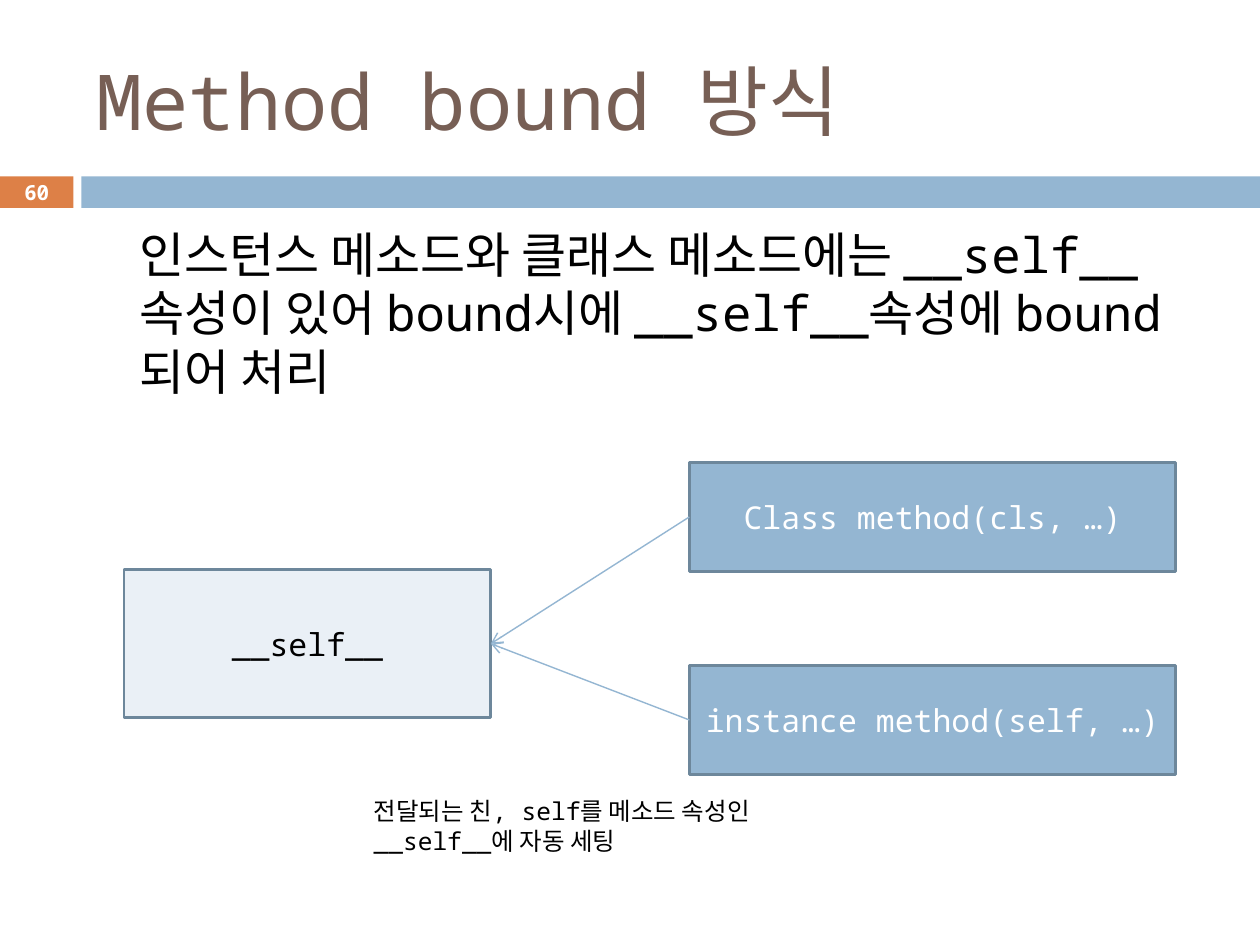
"""Build the slide on how methods are bound through __self__."""
import pptx
import pptx.util
import pptx.dml.color
import pptx.enum.shapes
import pptx.enum.text
import pptx.oxml.ns
from lxml import etree

Pt = pptx.util.Pt
RGBColor = pptx.dml.color.RGBColor
Align = pptx.enum.text.PP_ALIGN
Anchor = pptx.enum.text.MSO_ANCHOR
qn = pptx.oxml.ns.qn

BLACK = RGBColor(0x00, 0x00, 0x00)
WHITE = RGBColor(0xFF, 0xFF, 0xFF)
BROWN = RGBColor(0x77, 0x5F, 0x55)
ORANGE = RGBColor(0xDD, 0x80, 0x47)
BLUE = RGBColor(0x94, 0xB6, 0xD2)
PALE = RGBColor(0xEA, 0xF0, 0xF6)
EDGE = RGBColor(0x6D, 0x87, 0x9B)
FONT = "Noto Sans Mono"

TITLE = ("Method bound 방식", (48, 18, 642, 78))
BARS = [((0, 100.8, 42, 18), ORANGE), ((46.5, 100.8, 673.5, 18), BLUE)]
TEXTS = [
    ("인스턴스 메소드와 클래스 메소드에는 __self__속성이 있어 bound시에 __self__속성에 bound되어 처리",
     (72.5, 124.5, 612.5, 72), {"size": Pt(28)}),
    ("전달되는 친, self를 메소드 속성인 __self__에 자동 세팅",
     (206.5, 451.5, 238.5, 41), {"size": Pt(14)}),
]
PAGE_NUMBER = ("60", (0, 100, 42, 19.5))
TARGET = ("__self__", (70.8, 325.5, 209.7, 84.7), PALE, BLACK)
METHOD_LEFT, METHOD_TOP, METHOD_WIDTH, METHOD_HEIGHT = 393.9, 264.2, 278, 62.4
METHOD_STEP = 116
METHODS = ["Class method(cls, …)", "instance method(self, …)"]


def write(box, text, color, align=Align.LEFT, anchor=Anchor.TOP, **font):
    frame = box.text_frame
    settings = {"word_wrap": True, "vertical_anchor": anchor,
                "auto_size": pptx.enum.text.MSO_AUTO_SIZE.NONE}
    for name, value in settings.items():
        setattr(frame, name, value)
    para = frame.paragraphs[0]
    para.alignment = align
    span = para.add_run()
    span.text = text
    span.font.color.rgb = color
    for name, value in {"name": FONT, **font}.items():
        setattr(span.font, name, value)


def add_rectangle(page, place, fill, edge=None):
    box = page.shapes.add_shape(pptx.enum.shapes.MSO_SHAPE.RECTANGLE, *map(Pt, place))
    box.shadow.inherit = False
    box.fill.solid()
    box.fill.fore_color.rgb = fill
    if edge is None:
        box.line.fill.background()
    else:
        box.line.color.rgb = edge
        box.line.width = Pt(1.5)
    return box


def add_node(page, text, place, fill, color):
    box = add_rectangle(page, place, fill, EDGE)
    write(box, text, color, Align.CENTER, Anchor.MIDDLE, size=Pt(18))
    return box


def add_arrow(page, start, end):
    arrow = page.shapes.add_connector(pptx.enum.shapes.MSO_CONNECTOR.STRAIGHT, 0, 0, 0, 0)
    arrow.begin_connect(start, 1)
    arrow.end_connect(end, 3)
    arrow.line.color.rgb = BLUE
    arrow.line.width = Pt(0.79)
    etree.SubElement(arrow.line._get_or_add_ln(), qn("a:tailEnd"), type="arrow")
    etree.SubElement(arrow._element.spPr, qn("a:effectLst"))


def main():
    deck = pptx.Presentation()
    deck.slide_width, deck.slide_height = Pt(720), Pt(540)
    page = deck.slides.add_slide(deck.slide_layouts[5])

    text, place = TITLE
    title = page.shapes.title
    for name, value in zip(("left", "top", "width", "height"), place):
        setattr(title, name, Pt(value))
    write(title, text, BROWN, anchor=Anchor.MIDDLE, size=Pt(44))

    for place, fill in BARS:
        add_rectangle(page, place, fill)
    for text, place, font in TEXTS:
        write(page.shapes.add_textbox(*map(Pt, place)), text, BLACK, **font)

    target = add_node(page, *TARGET)
    for row, text in enumerate(METHODS):
        place = (METHOD_LEFT, METHOD_TOP + row * METHOD_STEP, METHOD_WIDTH, METHOD_HEIGHT)
        add_arrow(page, add_node(page, text, place, BLUE, WHITE), target)

    text, place = PAGE_NUMBER
    number = page.shapes.add_textbox(*map(Pt, place))
    write(number, text, WHITE, Align.CENTER, Anchor.MIDDLE, size=Pt(11.9), bold=True)

    deck.save("out.pptx")


if __name__ == "__main__":
    main()
